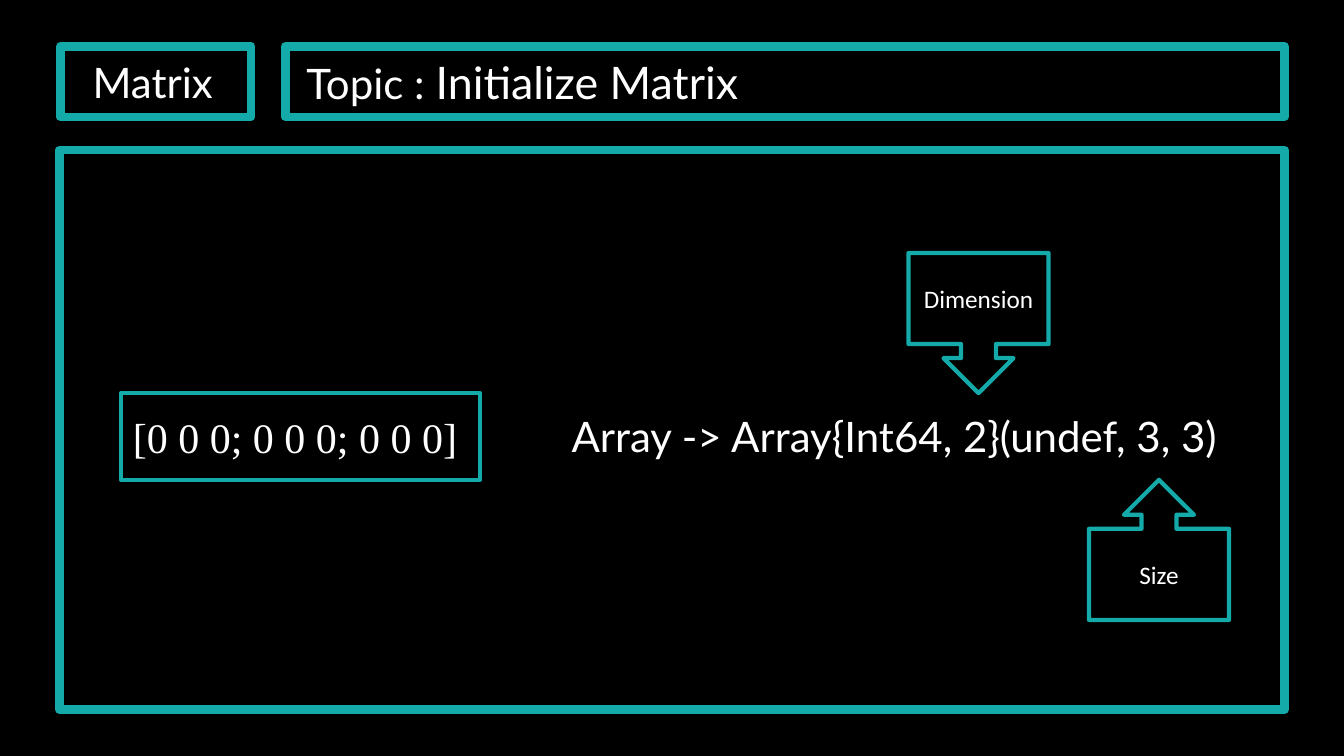
from dataclasses import dataclass

from pptx import Presentation
from pptx.dml.color import RGBColor
from pptx.enum.shapes import MSO_SHAPE
from pptx.enum.text import MSO_ANCHOR, MSO_AUTO_SIZE, PP_ALIGN
from pptx.slide import Slide
from pptx.text.text import TextFrame
from pptx.util import Inches, Pt


@dataclass(frozen=True)
class Theme:
    back: RGBColor = RGBColor(0, 0, 0)
    teal: RGBColor = RGBColor(0x14, 0xAA, 0xAA)
    ink: RGBColor = RGBColor(255, 255, 255)
    main: str = "Lato"
    math: str = "Times New Roman"
    note: str = "Calibri"
    title: int = 32
    body: int = 30
    small: int = 18
    thick: int = 6
    thin: int = 3


THEME = Theme()


@dataclass(frozen=True)
class Run:
    text: str
    font: str = THEME.main
    size: int = THEME.body


@dataclass(frozen=True)
class Box:
    left: float
    top: float
    width: float
    height: float

    def lengths(self) -> tuple:
        return tuple(map(Inches, (self.left, self.top, self.width, self.height)))


@dataclass(frozen=True)
class Frame:
    box: Box
    line: int = THEME.thick
    kind: MSO_SHAPE = MSO_SHAPE.RECTANGLE
    label: str = ""


@dataclass(frozen=True)
class Label:
    box: Box
    runs: tuple[Run, ...]


FRAMES = (
    Frame(Box(0.6, 0.46, 1.89, 0.7)),
    Frame(Box(0.59, 1.49, 12.15, 5.55)),
    Frame(Box(2.83, 0.46, 9.91, 0.7)),
    Frame(Box(1.2, 3.9, 3.56, 0.86), THEME.thin),
    Frame(Box(9.01, 2.51, 1.39, 1.39), THEME.thin, MSO_SHAPE.DOWN_ARROW_CALLOUT, "Dimension"),
    Frame(Box(10.8, 4.76, 1.39, 1.39), THEME.thin, MSO_SHAPE.UP_ARROW_CALLOUT, "Size"),
)
LABELS = (
    Label(Box(0.82, 0.51, 1.45, 0.61), (Run("Matrix"),)),
    Label(Box(2.94, 0.49, 4.54, 0.64),
          (Run("Topic : "), Run("Initialize Matrix", size=THEME.title))),
    Label(Box(1.22, 4.03, 3.56, 0.61), (Run("[0 0 0; 0 0 0; 0 0 0]", THEME.math),)),
    Label(Box(5.57, 4.02, 6.62, 0.61), (Run("Array -> Array{Int64, 2}(undef, 3, 3)"),)),
)


def format_item(item: object, values: dict) -> None:
    for name, value in values.items():
        setattr(item, name, value)


def write_runs(text: TextFrame, runs: tuple[Run, ...], align: PP_ALIGN) -> None:
    line = text.paragraphs[0]
    line.alignment = align
    for run in runs:
        piece = line.add_run()
        piece.text = run.text
        format_item(piece.font, {"name": run.font, "size": Pt(run.size)})
        piece.font.color.rgb = THEME.ink


def draw_frame(slide: Slide, frame: Frame) -> None:
    shape = slide.shapes.add_shape(frame.kind, *frame.box.lengths())
    shape.shadow.inherit = False
    shape.fill.background()
    shape.line.color.rgb = THEME.teal
    shape.line.width = Pt(frame.line)
    if frame.label:
        format_item(shape.text_frame, {"word_wrap": True, "vertical_anchor": MSO_ANCHOR.MIDDLE})
        run = Run(frame.label, THEME.note, THEME.small)
        write_runs(shape.text_frame, (run,), PP_ALIGN.CENTER)


def draw_label(slide: Slide, label: Label) -> None:
    text = slide.shapes.add_textbox(*label.box.lengths()).text_frame
    format_item(text, {"word_wrap": False, "auto_size": MSO_AUTO_SIZE.SHAPE_TO_FIT_TEXT})
    write_runs(text, label.runs, PP_ALIGN.LEFT)


def main() -> None:
    deck = Presentation()
    format_item(deck, {"slide_width": Inches(13.33), "slide_height": Inches(7.5)})
    slide = deck.slides.add_slide(deck.slide_layouts[6])
    fill = slide.background.fill
    fill.solid()
    fill.fore_color.rgb = THEME.back
    for frame in FRAMES:
        draw_frame(slide, frame)
    for label in LABELS:
        draw_label(slide, label)
    deck.save("out.pptx")


if __name__ == "__main__":
    main()
